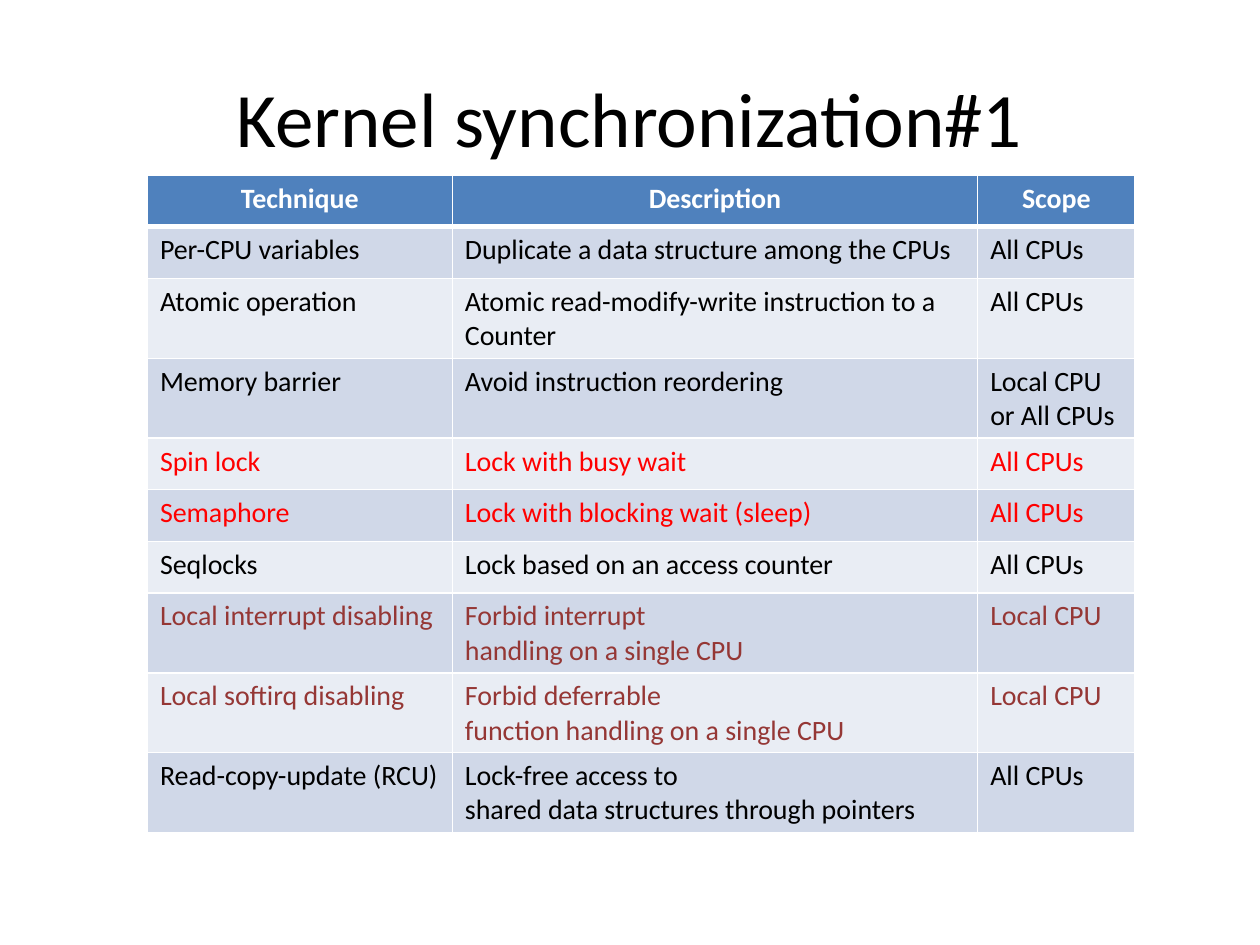
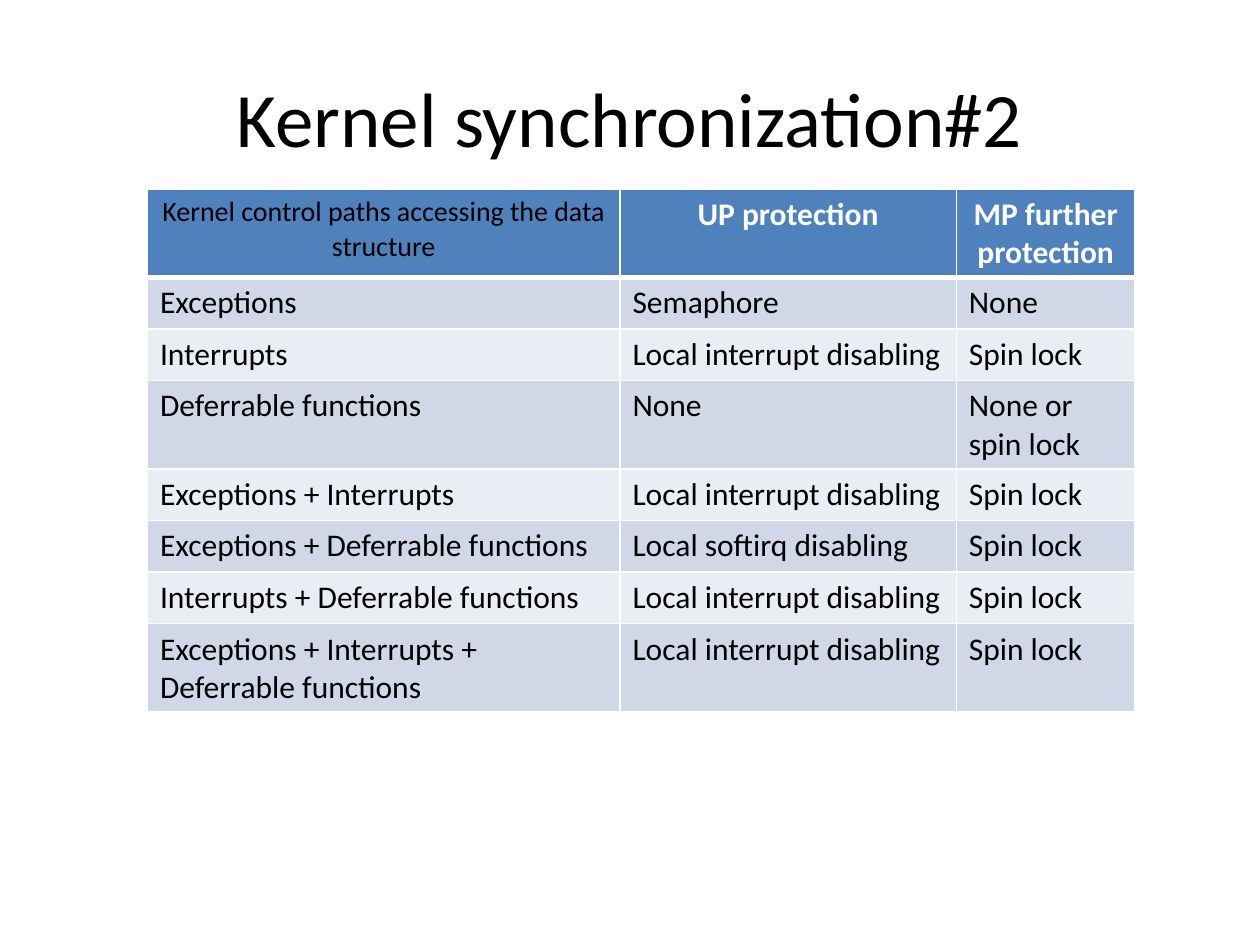
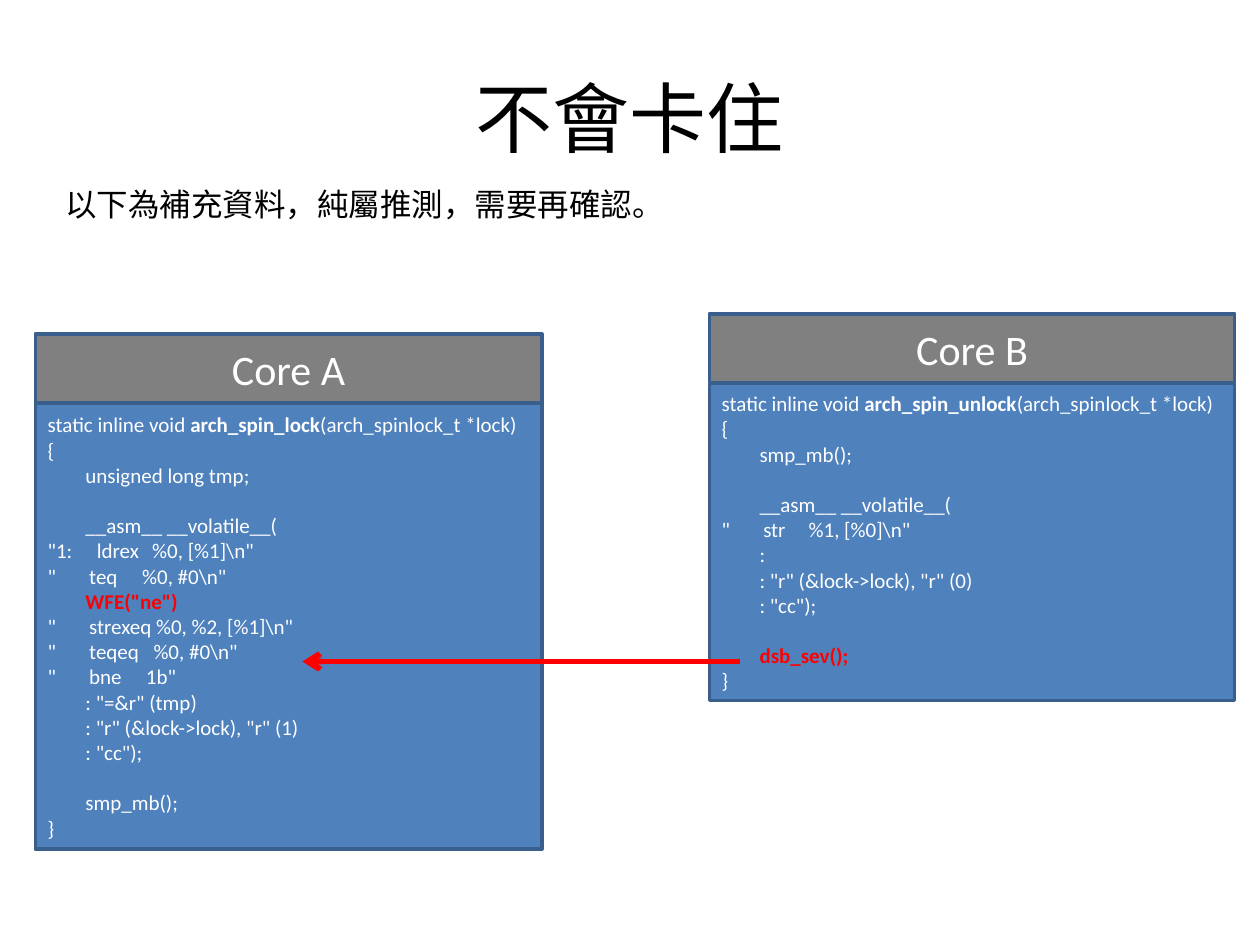
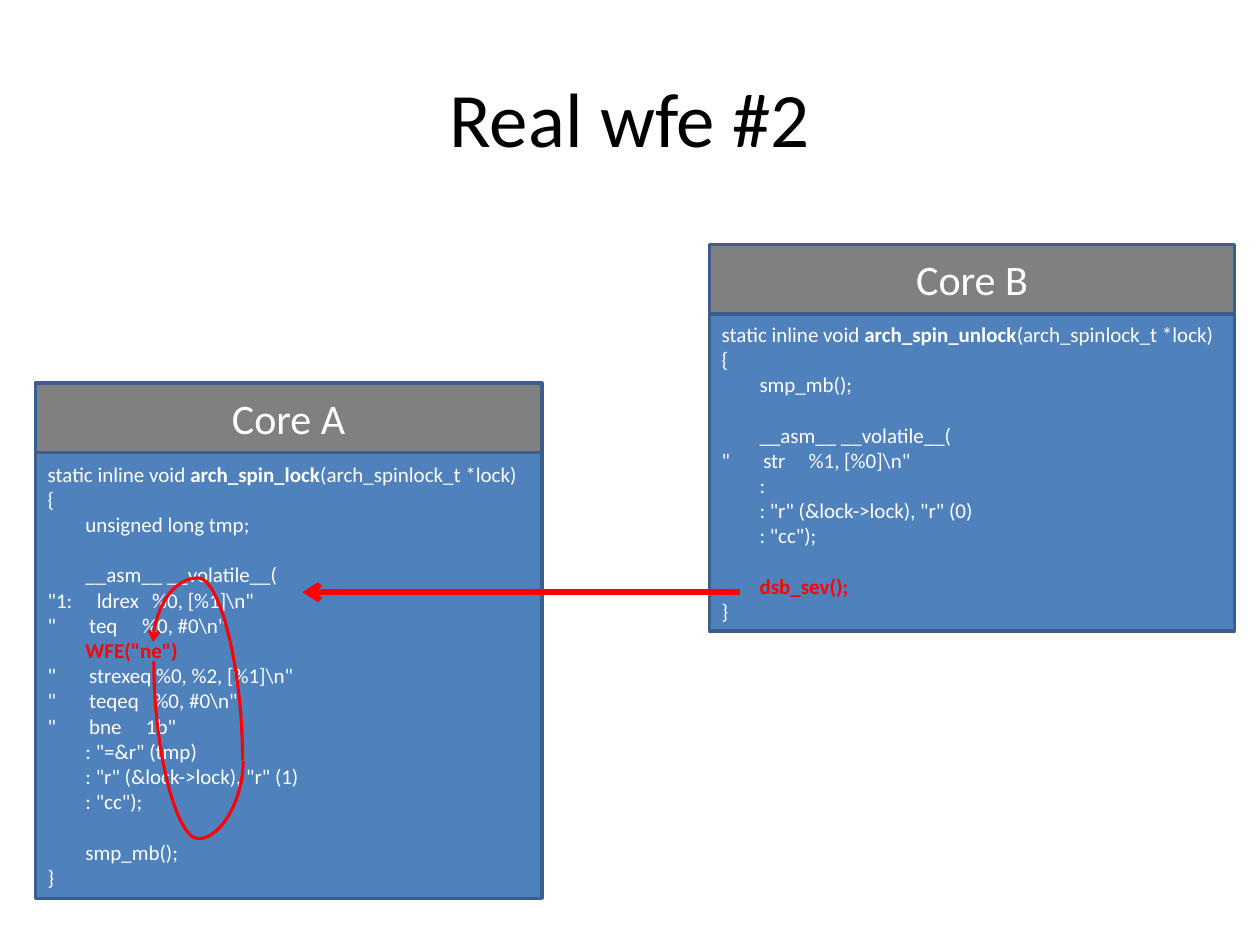
"""Build four slides on kernel synchronization and spin locks."""
from dataclasses import dataclass

from lxml.etree import SubElement
from pptx import Presentation
from pptx.dml.color import RGBColor
from pptx.enum.shapes import MSO_CONNECTOR, MSO_SHAPE
from pptx.enum.text import MSO_ANCHOR, PP_ALIGN
from pptx.oxml.ns import qn
from pptx.util import Inches, Pt

FONT = "Calibri"
BLACK, WHITE, RED, MAROON = "000000", "FFFFFF", "FF0000", "953735"
BLUE, BLUE_EDGE, GRAY = "4F81BD", "3A5F8C", "808080"
BANDS = ("D0D8E8", "E9EDF4")
ROW_HEIGHT = 0.41
CODE_SIZE = 12
CODE_PITCH = 14.4
CODE_INDENT = 0.3
HEADER_HEIGHT = 0.55


def color(value):
    """Turn a hex string into a colour."""
    return RGBColor.from_string(value)


@dataclass
class Span:
    """A piece of text with its look."""

    text: str
    size: float = 16
    ink: str = BLACK
    bold: bool = False


@dataclass
class CodeLine:
    """A line of code with its indent, the gap above it and its tab stops."""

    spans: list
    indent: bool = False
    gap: bool = False
    stops: tuple = ()


def code(text, ink=WHITE, bold=False):
    """Return a span in the code size."""
    return Span(text, CODE_SIZE, ink, bold)


def signature(name):
    """Return the first line of a lock function."""
    return CodeLine([code("static inline void "), code(name, bold=True),
                     code("(arch_spinlock_t *lock)")])


def plain(text, *stops):
    """Return a code line at the left edge."""
    return CodeLine([code(text)], stops=stops)


def inner(text, gap=False):
    """Return an indented code line."""
    return CodeLine([code(text)], True, gap)


def alert(text, gap=False):
    """Return an indented code line in bold red."""
    return CodeLine([code(text, RED, True)], True, gap)


class Deck:
    """Holds the presentation, its style and the current slide."""

    def __init__(self):
        """Start an empty 4:3 presentation."""
        self.deck = Presentation()
        self.deck.slide_width = Inches(10)
        self.deck.slide_height = Inches(7.5)
        self.page = None

    def add_page(self, title):
        """Add a blank slide with a centred title."""
        self.page = self.deck.slides.add_slide(self.deck.slide_layouts[6])
        self.text(0.5, 0.3, 9, 1.25, Span(title, 44), PP_ALIGN.CENTER, MSO_ANCHOR.MIDDLE)

    def add_spans(self, para, spans, align=PP_ALIGN.LEFT):
        """Fill a paragraph run by run."""
        para.alignment = align
        for span in spans:
            run = para.add_run()
            run.text = span.text
            run.font.name = FONT
            run.font.size = Pt(span.size)
            run.font.bold = span.bold
            run.font.color.rgb = color(span.ink)

    def text(self, left, top, width, height, span, align=PP_ALIGN.LEFT,
             anchor=MSO_ANCHOR.TOP, wrap=True):
        """Add a text box with one line of text."""
        box = self.page.shapes.add_textbox(*map(Inches, (left, top, width, height)))
        box.text_frame.word_wrap = wrap
        box.text_frame.vertical_anchor = anchor
        self.add_spans(box.text_frame.paragraphs[0], [span], align)

    def panel(self, left, top, width, height, fill):
        """Add an outlined rectangle and return its text frame."""
        box = self.page.shapes.add_shape(
            MSO_SHAPE.RECTANGLE, *map(Inches, (left, top, width, height)))
        box.shadow.inherit = False
        box.fill.solid()
        box.fill.fore_color.rgb = color(fill)
        box.line.color.rgb = color(BLUE_EDGE)
        box.line.width = Pt(2)
        box.text_frame.word_wrap = True
        box.text_frame.vertical_anchor = MSO_ANCHOR.MIDDLE
        return box.text_frame

    def core(self, name, left, top, width, height, lines):
        """Add a code panel under its header."""
        frame = self.panel(left, top + HEADER_HEIGHT, width, height, BLUE)
        for index, line in enumerate(lines):
            para = frame.add_paragraph() if index else frame.paragraphs[0]
            self.add_spans(para, line.spans)
            if line.gap:
                para.space_before = Pt(CODE_PITCH)
            properties = para._p.get_or_add_pPr()
            if line.indent:
                properties.set("marL", str(Inches(CODE_INDENT)))
            if line.stops:
                tabs = SubElement(properties, qn("a:tabLst"))
                for stop in line.stops:
                    SubElement(tabs, qn("a:tab"), pos=str(Inches(stop)), algn="l")
        header = self.panel(left, top, width, HEADER_HEIGHT, GRAY)
        self.add_spans(header.paragraphs[0], [Span(name, 24, WHITE)], PP_ALIGN.CENTER)

    def connector(self, kind, start, end, weight, arrow=True):
        """Add a red connector, with an arrowhead at its end if asked."""
        line = self.page.shapes.add_connector(kind, *map(Inches, (*start, *end)))
        line.line.color.rgb = color(RED)
        line.line.width = Pt(weight)
        properties = line.element.spPr
        if arrow:
            SubElement(properties.find(qn("a:ln")), qn("a:tailEnd"), type="arrow")
        SubElement(properties, qn("a:effectLst"))
        return properties

    def loop(self, left, top, width, height, bend, arrow):
        """Add a curved connector turned a quarter, bent by a share of its width."""
        properties = self.connector(MSO_CONNECTOR.CURVE, (left, top),
                                    (left + width, top + height), 1.75, arrow)
        frame = properties.find(qn("a:xfrm"))
        frame.set("rot", str(270 * 60000))
        frame.set("flipV", "1")
        guides = properties.find(qn("a:prstGeom")).find(qn("a:avLst"))
        SubElement(guides, qn("a:gd"), name="adj1", fmla=f"val {round(bend * 100000)}")

    def cell(self, cell, span, fill, header):
        """Fill one table cell, a paragraph for each line of its text."""
        properties = cell._tc.get_or_add_tcPr()
        for side in ("lnL", "lnR", "lnT", "lnB"):
            weight = 3 if header and side == "lnB" else 1
            border = SubElement(properties, qn(f"a:{side}"), w=str(Pt(weight)))
            paint = SubElement(border, qn("a:solidFill"))
            SubElement(paint, qn("a:srgbClr"), val=WHITE)
        cell.fill.solid()
        cell.fill.fore_color.rgb = color(fill)
        frame = cell.text_frame
        align = PP_ALIGN.CENTER if header else PP_ALIGN.LEFT
        for index, text in enumerate(span.text.split("\n")):
            para = frame.add_paragraph() if index else frame.paragraphs[0]
            self.add_spans(para, [Span(text, span.size, span.ink, span.bold)], align)

    def table(self, top, widths, rows):
        """Add a banded table whose first row is the header."""
        shape = self.page.shapes.add_table(
            len(rows), len(widths), Inches(1.17), Inches(top),
            Inches(sum(widths)), Inches(ROW_HEIGHT * len(rows)))
        table = shape.table
        table.first_row = table.horz_banding = False
        for column, width in zip(table.columns, widths):
            column.width = Inches(width)
        for number, spans in enumerate(rows):
            table.rows[number].height = Inches(ROW_HEIGHT)
            fill = BANDS[(number - 1) % 2] if number else BLUE
            for column, span in enumerate(spans):
                self.cell(table.cell(number, column), span, fill, number == 0)

    def cores(self, top_a, top_b):
        """Add both cores and the wake-up arrow from B to A."""
        self.core("Core A", 0.28, top_a, 4.02, 3.54, LOCK)
        self.core("Core B", 5.63, top_b, 4.17, 2.52, UNLOCK)
        level = top_b + 2.76
        self.connector(MSO_CONNECTOR.STRAIGHT, (5.87, level), (2.4, level), 3.25)


LOCK = [
    signature("arch_spin_lock"),
    plain("{"),
    inner("unsigned long tmp;"),
    inner("__asm__ __volatile__(", gap=True),
    plain('"1:\tldrex\t%0, [%1]\\n"', 0.39, 0.83),
    plain('"\tteq\t%0, #0\\n"', 0.33, 0.75),
    alert('WFE("ne")'),
    plain('"\tstrexeq %0, %2, [%1]\\n"', 0.33),
    plain('"\tteqeq\t%0, #0\\n"', 0.33, 0.84),
    plain('"\tbne\t1b"', 0.33, 0.78),
    inner(': "=&r" (tmp)'),
    inner(': "r" (&lock->lock), "r" (1)'),
    inner(': "cc");'),
    inner("smp_mb();", gap=True),
    plain("}"),
]
UNLOCK = [
    signature("arch_spin_unlock"),
    plain("{"),
    inner("smp_mb();"),
    inner("__asm__ __volatile__(", gap=True),
    plain('"\tstr\t%1, [%0]\\n"', 0.33, 0.69),
    inner(":"),
    inner(': "r" (&lock->lock), "r" (0)'),
    inner(': "cc");'),
    alert("dsb_sev();", gap=True),
    plain("}"),
]
TECHNIQUES = [
    (BLACK, "Per-CPU variables", "Duplicate a data structure among the CPUs", "All CPUs"),
    (BLACK, "Atomic operation", "Atomic read-modify-write instruction to a Counter", "All CPUs"),
    (BLACK, "Memory barrier", "Avoid instruction reordering", "Local CPU or All CPUs"),
    (RED, "Spin lock", "Lock with busy wait", "All CPUs"),
    (RED, "Semaphore", "Lock with blocking wait (sleep)", "All CPUs"),
    (BLACK, "Seqlocks", "Lock based on an access counter", "All CPUs"),
    (MAROON, "Local interrupt disabling",
     "Forbid interrupt\nhandling on a single CPU", "Local CPU"),
    (MAROON, "Local softirq disabling",
     "Forbid deferrable\nfunction handling on a single CPU", "Local CPU"),
    (BLACK, "Read-copy-update (RCU)",
     "Lock-free access to\nshared data structures through pointers", "All CPUs"),
]
PROTECTIONS = [
    ("Exceptions", "Semaphore", "None"),
    ("Interrupts", "Local interrupt disabling", "Spin lock"),
    ("Deferrable functions", "None", "None or\nspin lock"),
    ("Exceptions + Interrupts", "Local interrupt disabling", "Spin lock"),
    ("Exceptions + Deferrable functions", "Local softirq disabling", "Spin lock"),
    ("Interrupts + Deferrable functions", "Local interrupt disabling", "Spin lock"),
    ("Exceptions + Interrupts + Deferrable functions", "Local interrupt disabling", "Spin lock"),
]


def main():
    """Build and save the slides."""
    show = Deck()

    show.add_page("Kernel synchronization#1")
    heads = [Span(text, 16, WHITE, True) for text in ("Technique", "Description", "Scope")]
    body = [[Span(text, 16, ink) for text in texts] for ink, *texts in TECHNIQUES]
    show.table(1.39, (2.42, 4.17, 1.25), [heads, *body])

    show.add_page("Kernel synchronization#2")
    heads = [Span("Kernel control paths accessing the data structure"),
             Span("UP protection", 18, WHITE, True),
             Span("MP further\nprotection", 18, WHITE, True)]
    body = [[Span(text, 18) for text in texts] for texts in PROTECTIONS]
    show.table(1.5, (3.75, 2.67, 1.42), [heads, *body])

    show.add_page("不會卡住")
    show.cores(2.65, 2.49)
    show.text(0.42, 1.42, 5, 0.4, Span("以下為補充資料，純屬推測，需要再確認。", 18), wrap=False)

    show.add_page("Real wfe #2")
    show.cores(3.04, 1.94)
    show.loop(1.18, 5.29, 0.79, 0.71, -0.78, False)
    show.loop(1.1, 5.21, 0.94, 0.71, 1.54, True)

    show.deck.save("out.pptx")


main()
